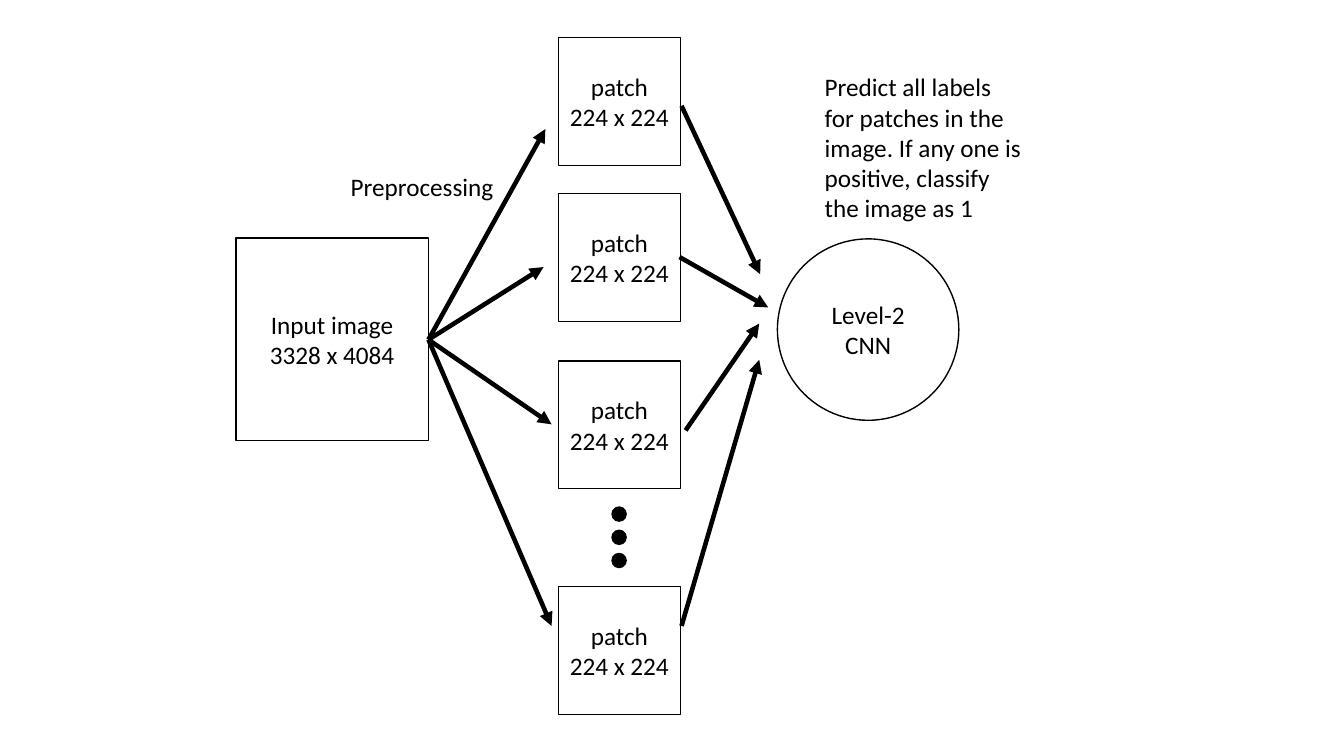
import pptx
import pptx.util
import pptx.dml.color
import pptx.enum.shapes
import pptx.enum.text
import pptx.oxml
import pptx.oxml.ns

SHAPES = pptx.enum.shapes.MSO_SHAPE
ALIGN = pptx.enum.text.PP_ALIGN
ANCHOR = pptx.enum.text.MSO_ANCHOR


def colour(value):
    return pptx.dml.color.RGBColor.from_string(value)


class Diagram:
    font = "Calibri"
    size = 18
    ink = "000000"
    paper = "FFFFFF"
    outline = 1
    stroke = 3.25

    def __init__(self, deck):
        self.width = deck.slide_width
        self.height = deck.slide_height
        self.page = deck.slides.add_slide(deck.slide_layouts[6])

    def place(self, *shares):
        sides = (self.width, self.height) * (len(shares) // 2)
        return [round(side * share / 100) for side, share in zip(sides, shares)]

    def add_lines(self, box, lines, align, anchor):
        frame = box.text_frame
        frame.word_wrap = True
        frame.vertical_anchor = anchor
        for index, line in enumerate(lines):
            para = frame.paragraphs[0] if index == 0 else frame.add_paragraph()
            para.alignment = align
            span = para.add_run()
            span.text = line
            span.font.name = self.font
            span.font.size = pptx.util.Pt(self.size)
            span.font.color.rgb = colour(self.ink)

    def node(self, kind, area, lines=(), fill=None, outlined=True, align=ALIGN.CENTER):
        box = self.page.shapes.add_shape(kind, *self.place(*area))
        box.shadow.inherit = False
        if fill:
            box.fill.solid()
            box.fill.fore_color.rgb = colour(fill)
        else:
            box.fill.background()
        if outlined:
            box.line.color.rgb = colour(self.ink)
            box.line.width = pptx.util.Pt(self.outline)
        else:
            box.line.fill.background()
        self.add_lines(box, lines, align, ANCHOR.MIDDLE)

    def label(self, area, text):
        box = self.page.shapes.add_textbox(*self.place(*area))
        self.add_lines(box, [text], ALIGN.LEFT, ANCHOR.TOP)

    def arrow(self, start, end):
        straight = pptx.enum.shapes.MSO_CONNECTOR.STRAIGHT
        arrow = self.page.shapes.add_connector(straight, *self.place(*start, *end))
        arrow.line.color.rgb = colour(self.ink)
        arrow.line.width = pptx.util.Pt(self.stroke)
        namespace = pptx.oxml.ns.nsdecls("a")
        properties = arrow._element.spPr
        properties.find(pptx.oxml.ns.qn("a:ln")).append(
            pptx.oxml.parse_xml(f'<a:tailEnd {namespace} type="triangle"/>'))
        properties.append(pptx.oxml.parse_xml(f"<a:effectLst {namespace}/>"))


deck = pptx.Presentation()
deck.slide_width = pptx.util.Inches(13.33)
deck.slide_height = pptx.util.Inches(7.5)
diagram = Diagram(deck)

diagram.node(SHAPES.RECTANGLE, (17.55, 31.47, 14.33, 26.8),
             ["Input image", "3328 x 4084"], diagram.paper)

for patch_top in (4.93, 25.6, 47.73, 77.6):
    diagram.node(SHAPES.RECTANGLE, (41.55, patch_top, 9.08, 16.93),
                 ["patch", "224 x 224"], diagram.paper)

for step in range(3):
    diagram.node(SHAPES.OVAL, (45.54, 67.07 + 3.07 * step, 1.05, 1.87),
                 fill=diagram.ink)

diagram.node(SHAPES.OVAL, (57.84, 31.6, 13.5, 24), ["Level-2", "CNN"])

input_exit = (31.88, 44.93)
for patch_entry in ((40.58, 17.07), (40.44, 35.33), (41.04, 56.13), (41.04, 82.8)):
    diagram.arrow(input_exit, patch_entry)

for patch_exit, network_entry in (
    ((50.71, 14), (56.56, 36.27)),
    ((50.56, 34), (57.16, 40.67)),
    ((51.01, 56.93), (56.49, 42.8)),
    ((50.71, 82.8), (56.49, 47.6)),
):
    diagram.arrow(patch_exit, network_entry)

diagram.node(SHAPES.RECTANGLE, (60.62, 9.2, 16.3, 20.53),
             ["Predict all labels for patches in the image. "
              "If any one is positive, classify the image as 1"],
             diagram.paper, outlined=False, align=ALIGN.LEFT)
diagram.label((25.36, 22, 12.53, 9.47), "Preprocessing")

deck.save("out.pptx")
